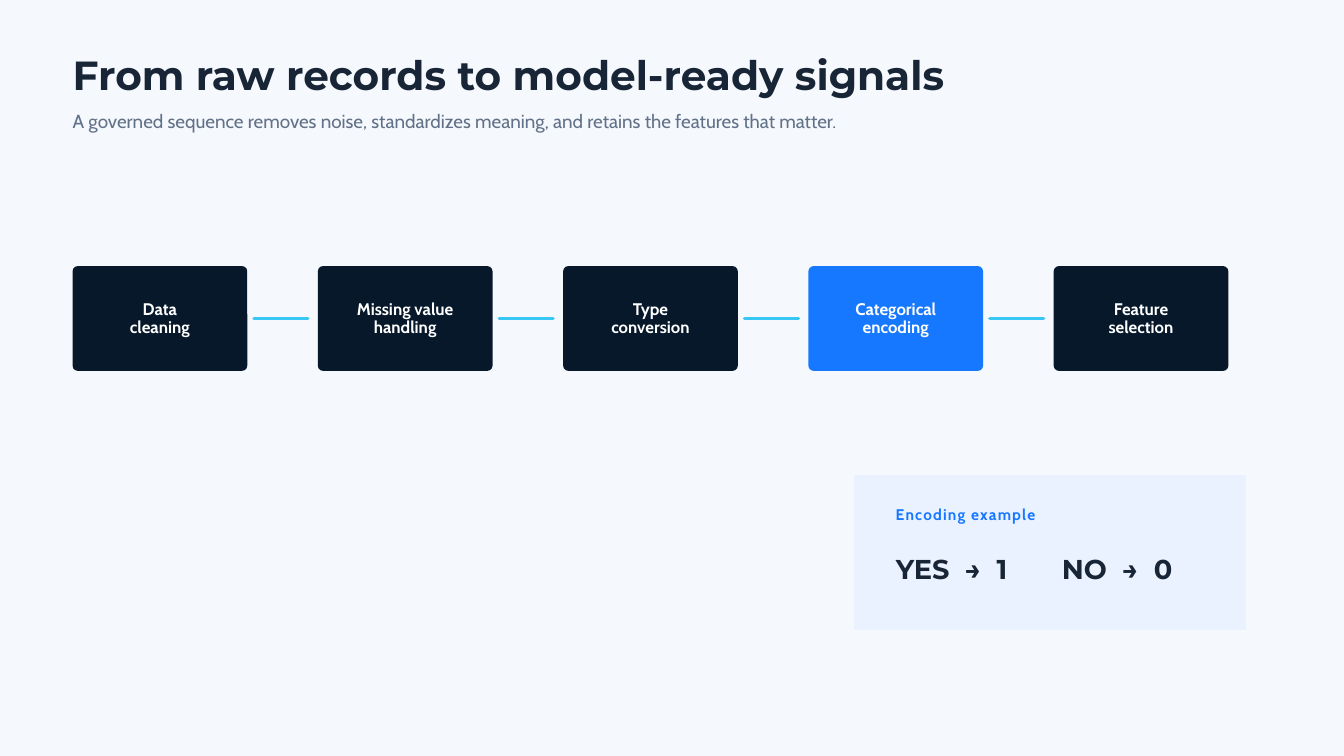
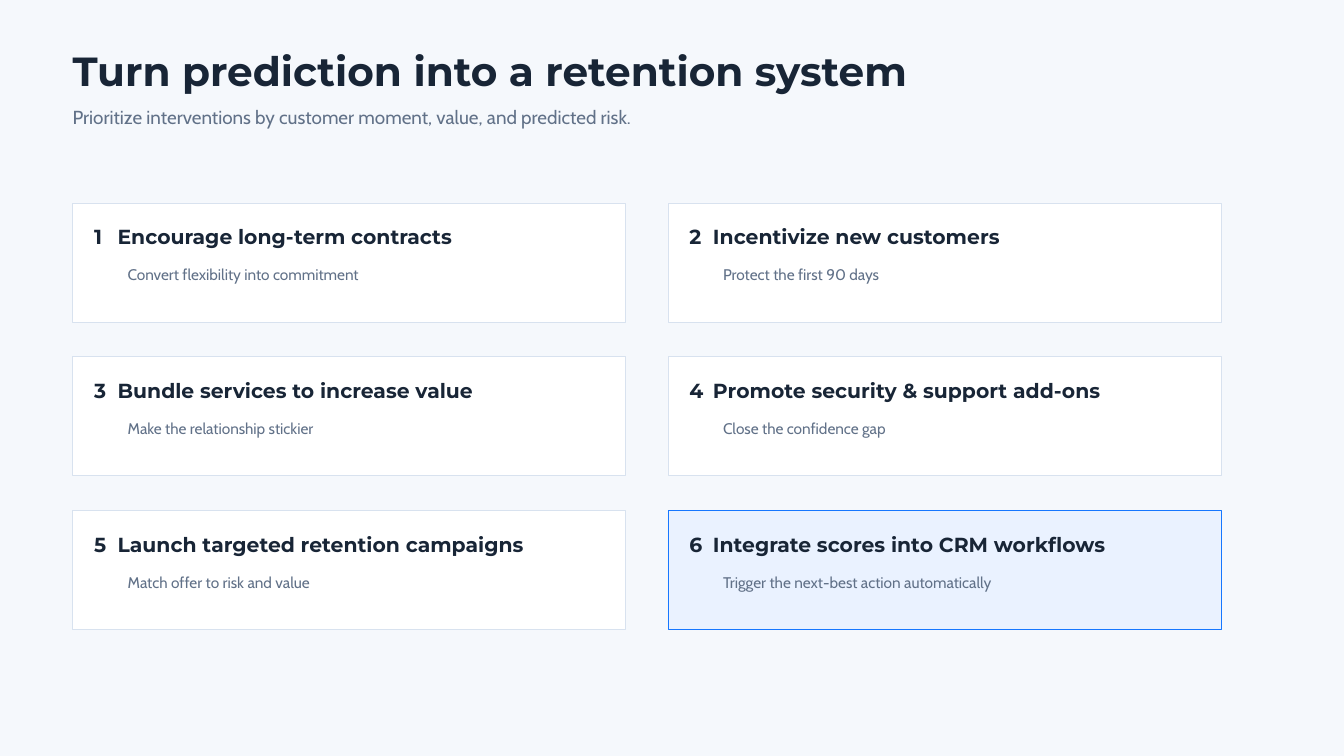
from lxml import etree
from pptx import Presentation
from pptx.dml.color import RGBColor
from pptx.enum.shapes import MSO_CONNECTOR, MSO_SHAPE
from pptx.enum.text import MSO_ANCHOR, MSO_AUTO_SIZE, PP_ALIGN
from pptx.oxml.ns import qn
from pptx.util import Inches, Pt

RECTANGLE = MSO_SHAPE.RECTANGLE
ROUNDED = MSO_SHAPE.ROUNDED_RECTANGLE
STRAIGHT = MSO_CONNECTOR.STRAIGHT
TOP, MIDDLE = MSO_ANCHOR.TOP, MSO_ANCHOR.MIDDLE
LEFT, CENTER = PP_ALIGN.LEFT, PP_ALIGN.CENTER
NO_AUTOSIZE = MSO_AUTO_SIZE.NONE
TITLE_ONLY = 5

# Shared look
HEADING, BODY = "Montserrat", "Cabin"
PAPER, WHITE, PALE = "F5F8FC", "FFFFFF", "EAF2FF"
INK, GREY, NAVY = "182536", "617188", "07182B"
BLUE, CYAN, BORDER = "1677FF", "38C6F4", "D8E2EF"
MARGIN = 1.08

STEPS = [
    ("Data", "cleaning"),
    ("Missing value", "handling"),
    ("Type", "conversion"),
    ("Categorical", "encoding"),
    ("Feature", "selection"),
]
ACTIONS = [
    ("Encourage long-term contracts", "Convert flexibility into commitment"),
    ("Incentivize new customers", "Protect the first 90 days"),
    ("Bundle services to increase value", "Make the relationship stickier"),
    ("Promote security & support add-ons", "Close the confidence gap"),
    ("Launch targeted retention campaigns", "Match offer to risk and value"),
    ("Integrate scores into CRM workflows", "Trigger the next-best action automatically"),
]


def colour(value):
    return RGBColor.from_string(value)


def write(shape, lines, font, size, tint, leading, bold=False, align=LEFT,
          anchor=TOP, inset=0, tabs=(), tracking=0):
    """Fill a shape with one paragraph per line, all in the same style."""
    frame = shape.text_frame
    frame.word_wrap = True
    frame.auto_size = NO_AUTOSIZE
    frame.vertical_anchor = anchor
    frame.margin_left = frame.margin_right = Inches(inset)
    frame.margin_top = frame.margin_bottom = Inches(inset)
    for index, line in enumerate(lines):
        para = frame.add_paragraph() if index else frame.paragraphs[0]
        span = para.add_run()
        span.text = line
        if tracking:
            span._r.get_or_add_rPr().set("spc", str(tracking))
        if tabs:
            stops = etree.SubElement(para._p.get_or_add_pPr(), qn("a:tabLst"))
            for stop in tabs:
                etree.SubElement(stops, qn("a:tab"), pos=str(Inches(stop)), algn="l")
        para.alignment = align
        para.line_spacing = Pt(leading)
        para.font.name = font
        para.font.size = Pt(size)
        para.font.bold = bold
        para.font.color.rgb = colour(tint)


def add_text(page, left, top, width, height, line, *style, **options):
    box = page.shapes.add_textbox(Inches(left), Inches(top), Inches(width), Inches(height))
    write(box, [line], *style, **options)


def add_panel(page, kind, left, top, width, height, fill, outline=None):
    panel = page.shapes.add_shape(
        kind, Inches(left), Inches(top), Inches(width), Inches(height))
    panel.shadow.inherit = False
    panel.fill.solid()
    panel.fill.fore_color.rgb = colour(fill)
    if outline:
        panel.line.color.rgb = colour(outline)
        panel.line.width = Pt(0.75)
    else:
        panel.line.fill.background()
    return panel


def add_link(page, left, right, y):
    link = page.shapes.add_connector(
        STRAIGHT, Inches(left), Inches(y), Inches(right), Inches(y))
    link.line.color.rgb = colour(CYAN)
    link.line.width = Pt(3.75)
    properties = link._element.spPr
    properties.find(qn("a:ln")).set("cap", "rnd")
    etree.SubElement(properties, qn("a:effectLst"))


def add_page(deck, top, heading, subtitle):
    """Start a slide with its title and the line under it."""
    page = deck.slides.add_slide(deck.slide_layouts[TITLE_ONLY])
    title = page.shapes.title
    title.left, title.top = Inches(MARGIN), Inches(top)
    title.width, title.height = Inches(14.06), Inches(0.66)
    write(title, [heading], HEADING, 43.5, INK, 47, bold=True)
    add_text(page, MARGIN, top + 0.78, 12.71, 0.37, subtitle, BODY, 20.2, GREY, 27.3)
    return page


def add_pipeline(page, left, top, highlight):
    """Row of steps joined by short lines."""
    width, height, pitch = 2.6, 1.56, 3.65
    for index, lines in enumerate(STEPS):
        x = left + index * pitch
        fill = BLUE if index == highlight else NAVY
        step = add_panel(page, ROUNDED, x, top, width, height, fill)
        step.adjustments[0] = 0.05
        write(step, lines, BODY, 18, WHITE, 19.8, bold=True,
              align=CENTER, anchor=MIDDLE, inset=0.06)
        if index < len(STEPS) - 1:
            add_link(page, x + width + 0.1, x + pitch - 0.15, top + height / 2)


def add_encoding_example(page, left, top):
    add_panel(page, RECTANGLE, left, top, 5.83, 2.29, PALE, PALE)
    add_text(page, left + 0.62, top + 0.39, 4.17, 0.3, "Encoding example",
             BODY, 16.5, BLUE, 23.1, bold=True, tracking=130)
    add_text(page, left + 0.62, top + 1.06, 4.79, 0.52, "YES\t→\t1\tNO\t→\t0",
             HEADING, 29.2, INK, 40.9, bold=True, tabs=(1.03, 1.5, 2.47, 3.37, 3.84))


def add_action_card(page, left, top, number, heading, detail, fill, outline):
    add_panel(page, RECTANGLE, left, top, 8.23, 1.77, fill, outline)
    add_text(page, left + 0.32, top + 0.26, 7.6, 0.39, f"{number}\t{heading}",
             HEADING, 21.8, INK, 30.4, bold=True, tabs=(0.35,))
    add_text(page, left + 0.82, top + 0.9, 6.77, 0.28, detail, BODY, 16.5, GREY, 21.4)


def add_action_grid(page, left, top, highlight):
    """Two columns of numbered cards."""
    for index, (heading, detail) in enumerate(ACTIONS):
        row, column = divmod(index, 2)
        fill, outline = (PALE, BLUE) if index == highlight else (WHITE, BORDER)
        add_action_card(page, left + column * 8.86, top + row * 2.29,
                        index + 1, heading, detail, fill, outline)


def main():
    deck = Presentation()
    deck.slide_width, deck.slide_height = Inches(20), Inches(11.25)
    backdrop = deck.slide_master.background.fill
    backdrop.solid()
    backdrop.fore_color.rgb = colour(PAPER)

    # Data preparation
    page = add_page(
        deck, 0.81, "From raw records to model-ready signals",
        "A governed sequence removes noise, standardizes meaning, "
        "and retains the features that matter.")
    add_pipeline(page, MARGIN, 3.96, highlight=3)
    add_encoding_example(page, 12.71, 7.08)

    # Retention actions
    page = add_page(
        deck, 0.75, "Turn prediction into a retention system",
        "Prioritize interventions by customer moment, value, and predicted risk.")
    add_action_grid(page, MARGIN, 3.02, highlight=5)

    deck.save("out.pptx")


if __name__ == "__main__":
    main()
